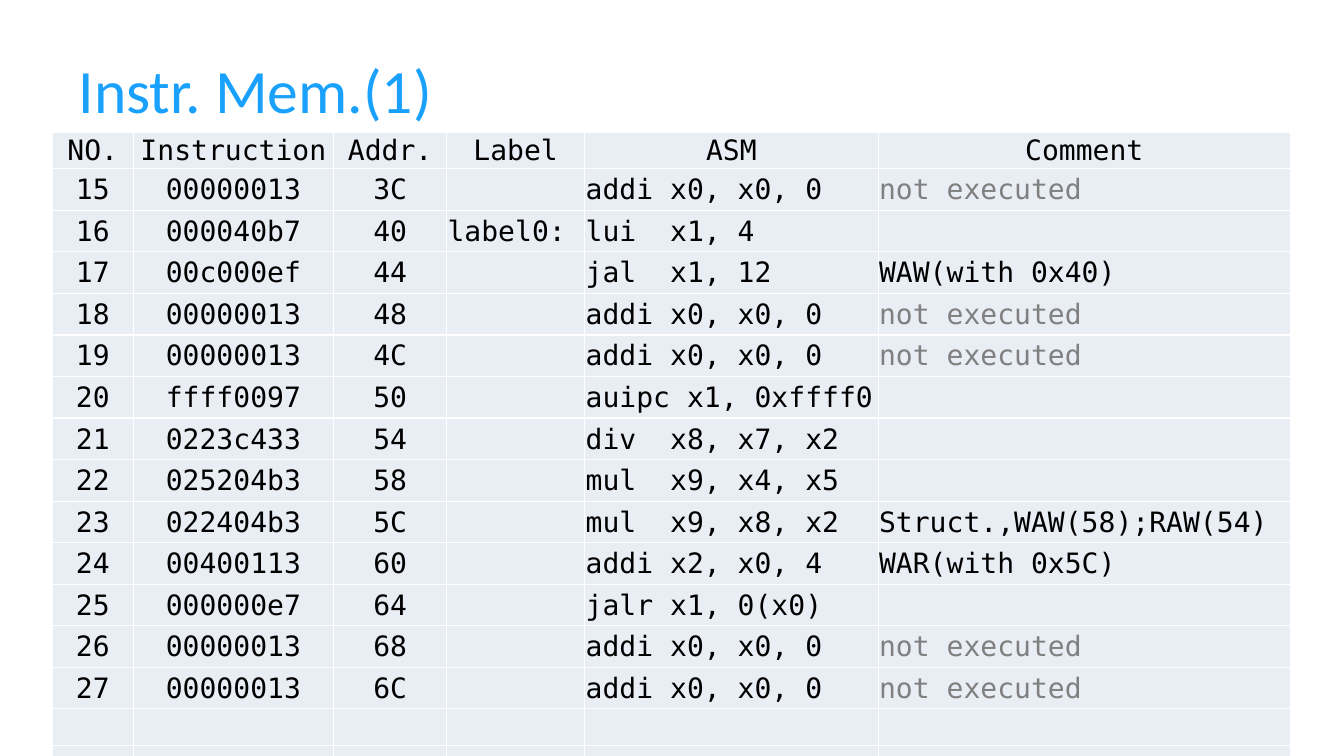
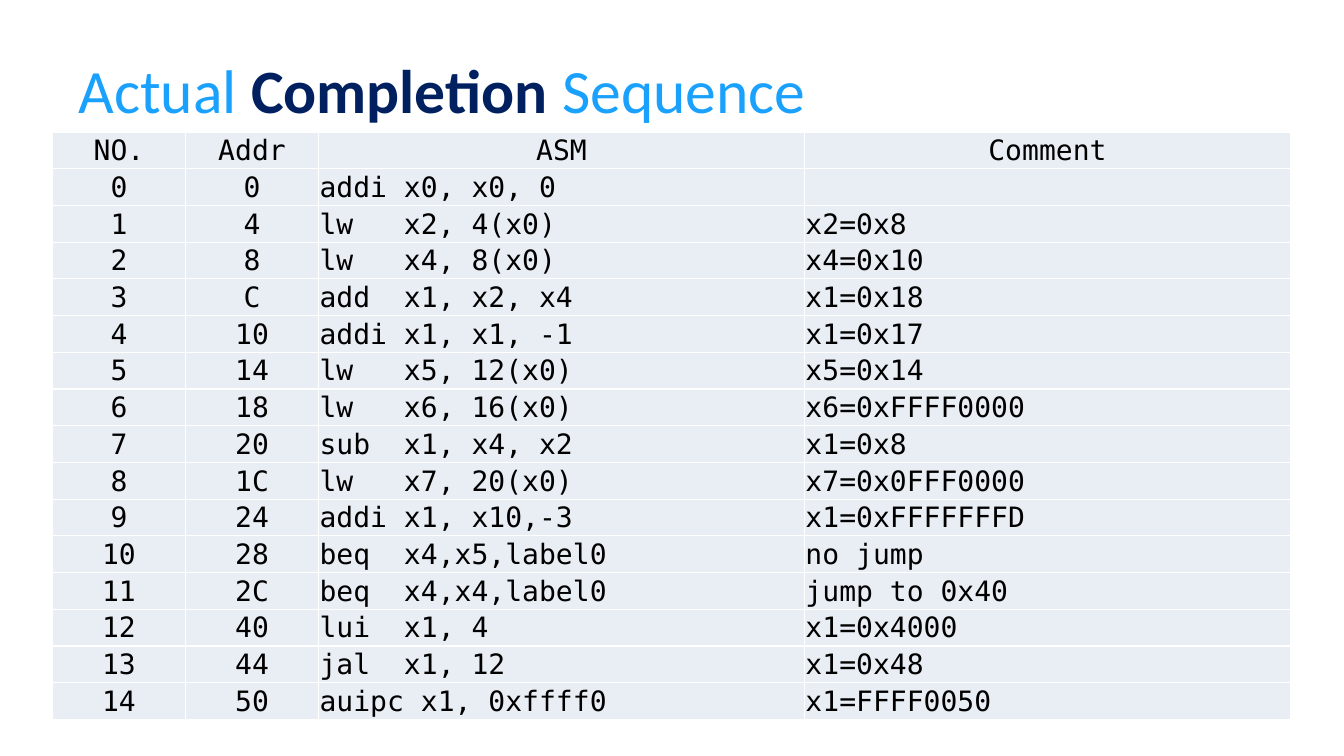
from lxml import etree
from pptx import Presentation
from pptx import util as u
from pptx.dml.color import RGBColor
from pptx.enum import text
from pptx.oxml import ns

BLUE, NAVY, BLACK, GREY, PALE, WHITE = "19A1FD", "002060", "000000", "808080", "E9EDF4", "FFFFFF"
TITLE_FONT = {"name": "Calibri", "size": u.Pt(44)}
CODE_FONT = {"name": "DejaVu Sans Mono", "size": u.Pt(20), "bold": False}
SLIDE_SIZE = (13.33, 7.5)
TITLE_BOX = {"left": 0.68, "top": 0.36, "width": 10.22, "height": 1.04}
TABLE_BOX = (0.52, 1.31, 12.28, 5.83)
CELL_MARGINS = {"margin_left": 0.01, "margin_right": 0.01, "margin_top": 0.01, "margin_bottom": 0}
LABEL_PADDING = u.Pt(7.7)
ROW_COUNT = 16
SKIPPED = "not executed"

SLIDES = [
    {
        "title": [("Instr. Mem.(1)", BLUE, False)],
        "columns": [("NO.", 0.8), ("Instruction", 1.99), ("Addr.", 1.12),
                    ("Label", 1.37), ("ASM", 2.91), ("Comment", 4.09)],
        "rows": [
            ("15", "00000013", "3C", "", "addi x0, x0, 0", SKIPPED),
            ("16", "000040b7", "40", "label0:", "lui  x1, 4", ""),
            ("17", "00c000ef", "44", "", "jal  x1, 12", "WAW(with 0x40)"),
            ("18", "00000013", "48", "", "addi x0, x0, 0", SKIPPED),
            ("19", "00000013", "4C", "", "addi x0, x0, 0", SKIPPED),
            ("20", "ffff0097", "50", "", "auipc x1, 0xffff0", ""),
            ("21", "0223c433", "54", "", "div  x8, x7, x2", ""),
            ("22", "025204b3", "58", "", "mul  x9, x4, x5", ""),
            ("23", "022404b3", "5C", "", "mul  x9, x8, x2", "Struct.,WAW(58);RAW(54)"),
            ("24", "00400113", "60", "", "addi x2, x0, 4", "WAR(with 0x5C)"),
            ("25", "000000e7", "64", "", "jalr x1, 0(x0)", ""),
            ("26", "00000013", "68", "", "addi x0, x0, 0", SKIPPED),
            ("27", "00000013", "6C", "", "addi x0, x0, 0", SKIPPED),
        ],
        "padded": True,
    },
    {
        "title": [("Actual ", BLUE, False), ("Completion", NAVY, True), (" Sequence", BLUE, False)],
        "columns": [("NO.", 1.32), ("Addr", 1.32), ("ASM", 4.82), ("Comment", 4.82)],
        "rows": [
            ("0", "0", "addi x0, x0, 0", ""),
            ("1", "4", "lw   x2, 4(x0)", "x2=0x8"),
            ("2", "8", "lw   x4, 8(x0)", "x4=0x10"),
            ("3", "C", "add  x1, x2, x4", "x1=0x18"),
            ("4", "10", "addi x1, x1, -1", "x1=0x17"),
            ("5", "14", "lw   x5, 12(x0)", "x5=0x14"),
            ("6", "18", "lw   x6, 16(x0)", "x6=0xFFFF0000"),
            ("7", "20", "sub  x1, x4, x2", "x1=0x8"),
            ("8", "1C", "lw   x7, 20(x0)", "x7=0x0FFF0000"),
            ("9", "24", "addi x1, x10,-3", "x1=0xFFFFFFFD"),
            ("10", "28", "beq  x4,x5,label0", "no jump"),
            ("11", "2C", "beq  x4,x4,label0", "jump to 0x40"),
            ("12", "40", "lui  x1, 4", "x1=0x4000"),
            ("13", "44", "jal  x1, 12", "x1=0x48"),
            ("14", "50", "auipc x1, 0xffff0", "x1=FFFF0050"),
        ],
        "padded": False,
    },
]
LEFT_ALIGNED = ("Label", "ASM", "Comment")


def apply(target, values):
    for name, value in values.items():
        setattr(target, name, value)


def inches(values):
    return {name: u.Inches(value) for name, value in values.items()}


def add_run(paragraph, wording, font, color):
    run = paragraph.add_run()
    run.text = wording
    apply(run.font, font)
    run.font.color.rgb = RGBColor.from_string(color)


def set_borders(cell):
    properties = cell._tc.get_or_add_tcPr()
    for side in ("a:lnL", "a:lnR", "a:lnT", "a:lnB"):
        line = etree.SubElement(properties, ns.qn(side), w=str(u.Pt(1)))
        fill = etree.SubElement(line, ns.qn("a:solidFill"))
        etree.SubElement(fill, ns.qn("a:srgbClr"), val=WHITE)


def format_cell(cell, wording, align):
    apply(cell, inches(CELL_MARGINS))
    cell.vertical_anchor = text.MSO_ANCHOR.MIDDLE
    set_borders(cell)
    cell.fill.solid()
    cell.fill.fore_color.rgb = RGBColor.from_string(PALE)
    if wording:
        paragraph = cell.text_frame.paragraphs[0]
        paragraph.alignment = align
        add_run(paragraph, wording, CODE_FONT, GREY if wording == SKIPPED else BLACK)


def add_title(slide, parts):
    title = slide.shapes.title
    apply(title, inches(TITLE_BOX))
    title.text_frame.vertical_anchor = text.MSO_ANCHOR.MIDDLE
    paragraph = title.text_frame.paragraphs[0]
    paragraph.alignment = text.PP_ALIGN.LEFT
    for wording, color, bold in parts:
        add_run(paragraph, wording, {**TITLE_FONT, "bold": bold}, color)


def add_listing(slide, columns, rows, padded):
    headings = [heading for heading, _ in columns]
    box = [u.Inches(length) for length in TABLE_BOX]
    listing = slide.shapes.add_table(ROW_COUNT, len(columns), *box).table
    apply(listing, {"first_row": False, "horz_banding": False})
    for column, (_, width) in zip(listing.columns, columns):
        column.width = u.Inches(width)
    blank_rows = [("",) * len(columns)] * (ROW_COUNT - 1 - len(rows))
    for r, row in enumerate([headings, *rows, *blank_rows]):
        for c, wording in enumerate(row):
            cell = listing.cell(r, c)
            left = r > 0 and headings[c] in LEFT_ALIGNED
            format_cell(cell, wording, text.PP_ALIGN.LEFT if left else text.PP_ALIGN.CENTER)
            if padded and any(row) and not wording:
                cell.margin_top = LABEL_PADDING


deck = Presentation()
deck.slide_width, deck.slide_height = (u.Inches(length) for length in SLIDE_SIZE)
for content in SLIDES:
    slide = deck.slides.add_slide(deck.slide_layouts[5])
    add_title(slide, content["title"])
    add_listing(slide, content["columns"], content["rows"], content["padded"])
deck.save("out.pptx")
